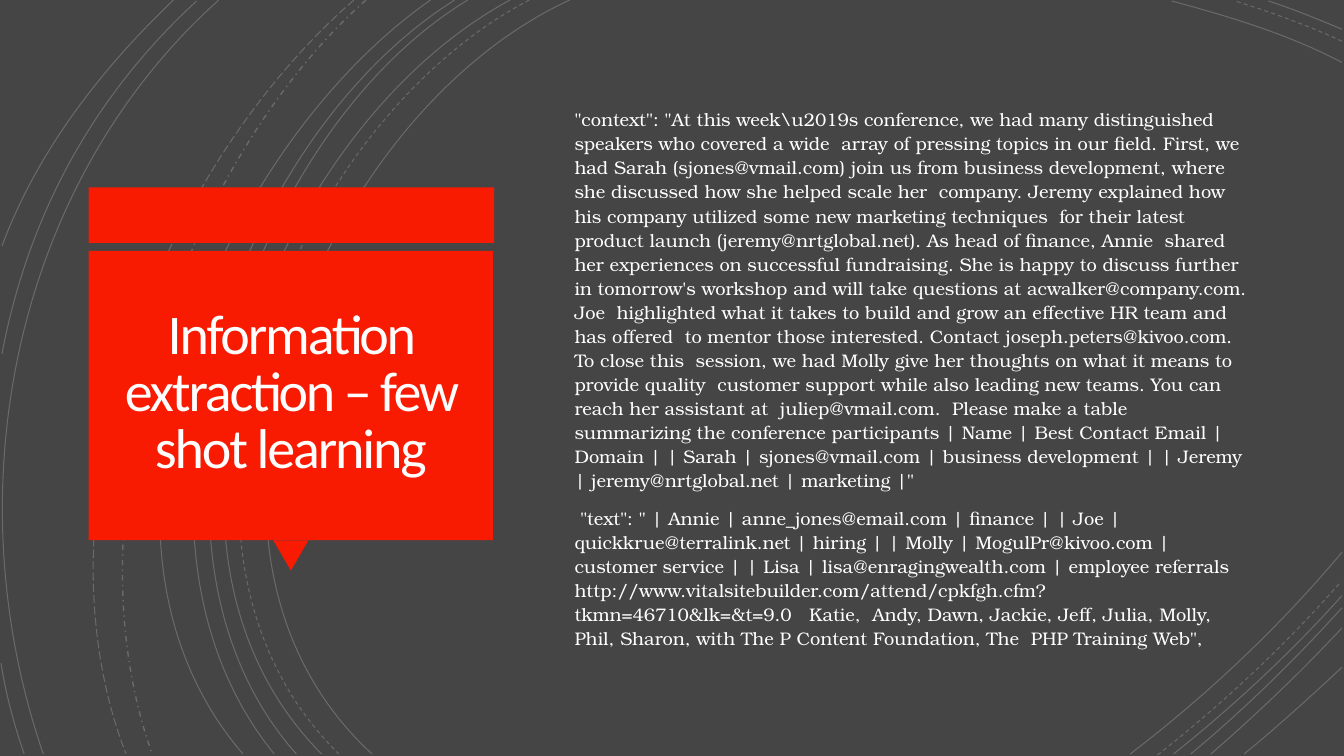
"""Build the slide on information extraction with few shot learning."""
from lxml.etree import SubElement
from pptx import Presentation
from pptx.dml.color import RGBColor as Rgb
from pptx.enum.dml import MSO_LINE as Dash
from pptx.enum.shapes import MSO_SHAPE as Preset
from pptx.enum.text import MSO_ANCHOR as Anchor, PP_ALIGN as Align
from pptx.oxml.ns import qn
from pptx.util import Inches, Pt

COLORS = {"ground": "454545", "accent": "F81B02", "title": "FFFEFF", "white": "FFFFFF"}

SOLID_CURVES = [
    ((5.65, 0), (3.15, 1.15), (1.43, 5.4), (3.69, 7.48)),
    ((13.31, 0.62), (12.78, 0.34), (12.18, 0.16), (11.62, 0.01)),
    ((11.21, 7.48), (11.97, 6.9), (12.69, 6.22), (13.31, 5.48)),
    ((5.06, 0), (2.7, 1.27), (1.1, 5.37), (3.19, 7.48)),
    ((13.31, 0.29), (13.07, 0.19), (12.83, 0.09), (12.58, 0.01)),
    ((11.64, 7.48), (12.23, 7.01), (12.8, 6.48), (13.31, 5.91)),
    ((4.64, 0), (2.44, 1.33), (1.1, 5.41), (2.94, 7.48)),
    ((11.81, 7.48), (12.34, 7.04), (12.84, 6.55), (13.31, 6.03)),
    ((4.51, 0), (2.31, 1.38), (0.97, 5.33), (2.72, 7.48)),
    ((12.01, 7.48), (12.46, 7.09), (12.9, 6.67), (13.31, 6.23)),
    ((4.27, 0), (2.17, 1.47), (0.53, 5.29), (2.41, 7.48)),
    ((12.34, 7.48), (12.67, 7.21), (12.99, 6.92), (13.31, 6.62)),
    ((2.17, 0), (0.11, 1.85), (-0.46, 4.9), (0.43, 7.48)),
    ((1.95, 0.01), (0.92, 0.96), (0.28, 2.14), (0.02, 3.51)),
    ((0.01, 6.58), (0.06, 6.89), (0.14, 7.19), (0.24, 7.48)),
    ((1.72, 0), (1, 0.69), (0.37, 1.5), (0.02, 2.44)),
]
DASHED_CURVES = [
    ((5.25, 0), (2.85, 1.25), (1.23, 5.37), (3.36, 7.48)),
    ((13.31, 0.41), (12.97, 0.25), (12.6, 0.12), (12.25, 0.01)),
    ((11.48, 7.49), (12.13, 6.98), (12.75, 6.4), (13.3, 5.77)),
]
DASH_DOT_CURVE = ((3.63, 0), (1.76, 1.66), (0.65, 5.09), (1.51, 7.48))
LONG_DASH_CURVE = ((3.51, 0), (1.57, 1.69), (0.29, 4.99), (1.25, 7.48))

CONTEXT = [
    r'"context": "At this week\u2019s conference, we had many distinguished speakers who',
    "covered a wide  array of pressing topics in our field. First, we had Sarah",
    "(sjones@vmail.com) join us from business development, where she discussed how she",
    "helped scale her  company. Jeremy explained how his company utilized some new",
    "marketing techniques  for their latest product launch (jeremy@nrtglobal.net). As head",
    "of finance, Annie  shared her experiences on successful fundraising. She is happy to",
    "discuss further in tomorrow's workshop and will take questions at",
    "acwalker@company.com. Joe  highlighted what it takes to build and grow an effective",
    "HR team and has offered  to mentor those interested. Contact joseph.peters@kivoo.com.",
    "To close this  session, we had Molly give her thoughts on what it means to provide",
    "quality  customer support while also leading new teams. You can reach her assistant",
    "at  juliep@vmail.com.  Please make a table summarizing the conference participants",
    "| Name | Best Contact Email | Domain | | Sarah | sjones@vmail.com | business",
    'development | | Jeremy | jeremy@nrtglobal.net | marketing |"',
]
COMPLETION = [
    ' "text": " | Annie | anne_jones@email.com | finance | | Joe |',
    "quickkrue@terralink.net | hiring | | Molly | MogulPr@kivoo.com | customer service |",
    "| Lisa | lisa@enragingwealth.com | employee referrals ",
    "http://www.vitalsitebuilder.com/attend/cpkfgh.cfm?tkmn=46710&lk=&t=9.0   Katie, ",
    "Andy, Dawn, Jackie, Jeff, Julia, Molly, Phil, Sharon, with The P Content Foundation,",
    'The  PHP Training Web",',
]


class SlideBuilder:
    def __init__(self, page):
        self.page = page
        self.shapes = page.shapes

    def color(self, name):
        return Rgb.from_string(COLORS[name])

    def background(self, color):
        fill = self.page.background.fill
        fill.solid()
        fill.fore_color.rgb = self.color(color)

    def curve(self, points, dash=Dash.SOLID, width=0.75):
        start, *rest = [(Inches(x), Inches(y)) for x, y in points]
        builder = self.shapes.build_freeform(*start)
        builder.add_line_segments(rest, close=False)
        arc = builder.convert_to_shape()
        arc.shadow.inherit = False
        arc.fill.background()
        arc.line.width = Pt(width)
        arc.line.color.rgb = self.color("white")
        arc.line.dash_style = dash
        tint = arc._element.find(".//" + qn("a:ln")).find(".//" + qn("a:srgbClr"))
        SubElement(tint, qn("a:alpha"), val="20000")
        outline = arc._element.find(".//" + qn("a:path"))
        bezier = SubElement(outline, qn("a:cubicBezTo"))
        for segment in outline.findall(qn("a:lnTo")):
            bezier.append(segment[0])
            outline.remove(segment)

    def block(self, preset, area, rotation=0):
        shape = self.shapes.add_shape(preset, *map(Inches, area))
        shape.shadow.inherit = False
        shape.fill.solid()
        shape.fill.fore_color.rgb = self.color("accent")
        shape.line.fill.background()
        shape.rotation = rotation

    def text(self, area, texts, font, size, color, spacing,
             align=Align.LEFT, inset=None, tracking=None):
        frame = self.shapes.add_textbox(*map(Inches, area)).text_frame
        frame.word_wrap = True
        frame.vertical_anchor = Anchor.MIDDLE
        if inset is not None:
            frame.margin_left = frame.margin_right = Inches(inset)
            frame.margin_top = frame.margin_bottom = Inches(inset)
        for index, content in enumerate(texts):
            para = frame.add_paragraph() if index else frame.paragraphs[0]
            para.alignment = align
            para.line_spacing = spacing
            if index:
                para.space_before = Pt(10)
            para.font.name = font
            para.font.size = Pt(size)
            para.font.color.rgb = self.color(color)
            span = para.add_run()
            span.text = content
            if tracking is not None:
                span._r.get_or_add_rPr().set("spc", str(int(tracking * 100)))


def main():
    deck = Presentation()
    deck.slide_width, deck.slide_height = Inches(13.33), Inches(7.5)
    slide = SlideBuilder(deck.slides.add_slide(deck.slide_layouts[6]))
    slide.background("ground")

    for points in SOLID_CURVES:
        slide.curve(points)
    for points in DASHED_CURVES:
        slide.curve(points, Dash.DASH)
    slide.curve(DASH_DOT_CURVE, Dash.DASH_DOT, 1)
    slide.curve(LONG_DASH_CURVE, Dash.LONG_DASH)

    slide.block(Preset.RECTANGLE, (0.88, 1.86, 4.02, 0.55))
    slide.block(Preset.ISOSCELES_TRIANGLE, (2.71, 5.36, 0.35, 0.3), 180)
    slide.block(Preset.RECTANGLE, (0.88, 2.49, 4.01, 2.87))

    slide.text((0.97, 2.57, 3.83, 2.69), ["Information extraction – few shot learning"],
               "Calibri", 40, "title", 0.85, Align.CENTER, 0.25, -1.5)
    slide.text((5.6, 0.88, 6.87, 5.74), [" ".join(CONTEXT), " ".join(COMPLETION)],
               "TeX Gyre Bonum", 13, "white", 1.1)
    deck.save("out.pptx")


if __name__ == "__main__":
    main()
